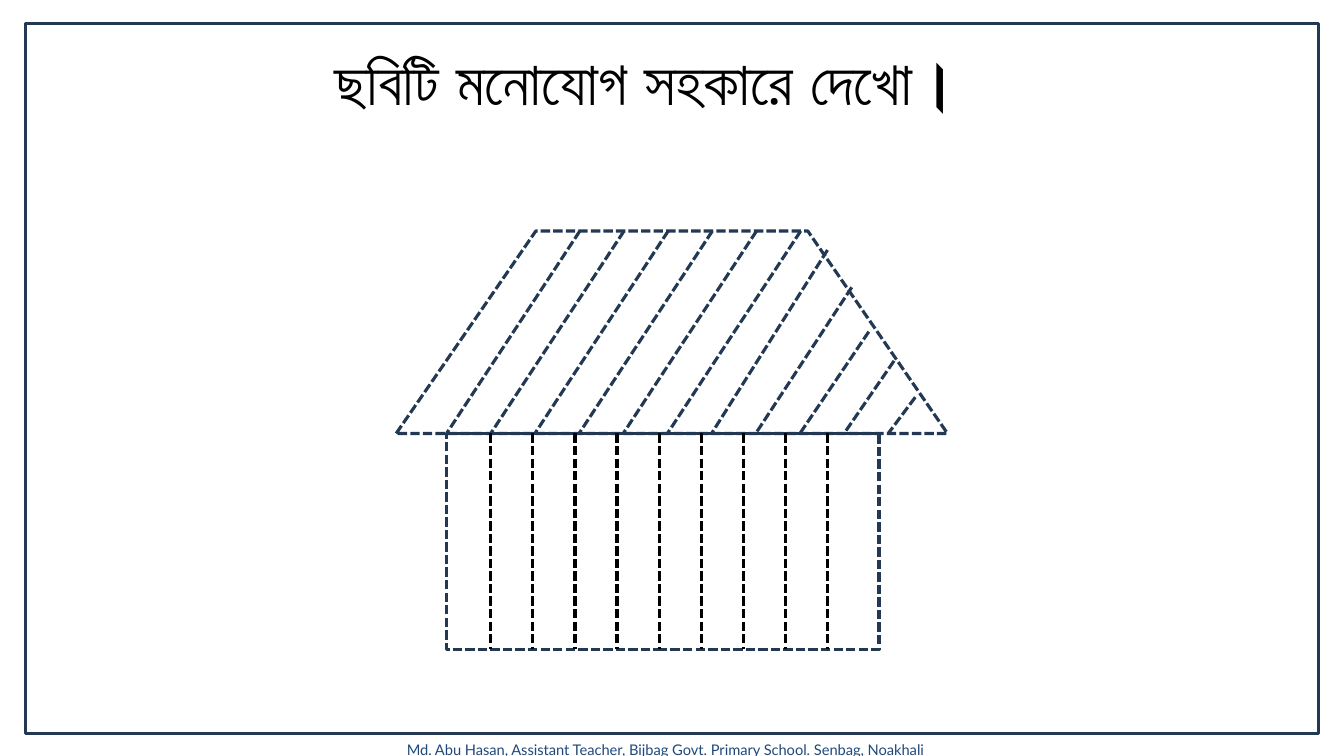
from dataclasses import dataclass

from lxml.etree import SubElement
from pptx import Presentation
from pptx.dml.color import RGBColor
from pptx.enum.dml import MSO_LINE
from pptx.enum.shapes import MSO_CONNECTOR, MSO_SHAPE
from pptx.enum.text import MSO_ANCHOR, MSO_AUTO_SIZE as AutoSize, PP_ALIGN as Align
from pptx.oxml.ns import qn
from pptx.shapes.autoshape import Shape
from pptx.slide import Slide
from pptx.util import Pt

NAVY = RGBColor(0x23, 0x39, 0x53)
BLUE = RGBColor(0x1F, 0x49, 0x7D)
BLACK = RGBColor(0, 0, 0)
FONT = "Lato"

ROOF_TOP, EAVES, GROUND = 165, 309.6, 463.7
WALL_LEFT, WALL_WIDTH = 319, 308.9
SLAT_GAP, SLAT_RUN = 31.55, 95.2
FULL_SLATS = 6
PLANK_LEFT, PLANK_GAP, PLANK_COUNT = 350.6, 30.06, 9
# Upper ends of the slats cut short by the right slope of the roof
SHORT_SLAT_TOPS = [(591.1, 178.6), (608.4, 205.2), (620.6, 236.9),
                   (638.6, 257.8), (653.8, 283.7)]


@dataclass(frozen=True)
class Outline:
    kind: MSO_SHAPE
    left: float
    top: float
    width: float
    height: float
    weight: float = 2.25
    dashed: bool = True


@dataclass(frozen=True)
class Stroke:
    x1: float
    y1: float
    x2: float
    y2: float
    color: RGBColor


FRAME = Outline(MSO_SHAPE.RECTANGLE, 18, 16.6, 923.8, 507.6, 2, False)
ROOF = Outline(MSO_SHAPE.TRAPEZOID, 283, ROOF_TOP, 393.8, EAVES - ROOF_TOP)
WALLS = Outline(MSO_SHAPE.RECTANGLE, WALL_LEFT, EAVES, WALL_WIDTH, GROUND - EAVES)


def draw_outline(page: Slide, outline: Outline) -> Shape:
    shape = page.shapes.add_shape(outline.kind, Pt(outline.left), Pt(outline.top),
                                  Pt(outline.width), Pt(outline.height))
    shape.shadow.inherit = False
    shape.fill.background()
    shape.line.color.rgb = NAVY
    shape.line.width = Pt(outline.weight)
    if outline.dashed:
        shape.line.dash_style = MSO_LINE.SQUARE_DOT
    return shape


def draw_stroke(page: Slide, stroke: Stroke) -> None:
    connector = page.shapes.add_connector(
        MSO_CONNECTOR.STRAIGHT, Pt(stroke.x1), Pt(stroke.y1), Pt(stroke.x2), Pt(stroke.y2))
    connector.line.color.rgb = stroke.color
    connector.line.width = Pt(2.25)
    connector.line.dash_style = MSO_LINE.SQUARE_DOT
    SubElement(connector._element.spPr, qn("a:effectLst"))


def write(box: Shape, text: str, size: float, color: RGBColor, align: Align,
          bold: bool = False) -> None:
    frame = box.text_frame
    frame.word_wrap = True
    frame.auto_size = AutoSize.SHAPE_TO_FIT_TEXT
    frame.vertical_anchor = MSO_ANCHOR.TOP
    para = frame.paragraphs[0]
    para.text = text
    para.alignment = align
    para.font.name = FONT
    para.font.size = Pt(size)
    para.font.bold = bold
    para.font.color.rgb = color


def house_strokes() -> list[Stroke]:
    """Slanted roof slats, then upright wall planks, from left to right."""
    feet = [WALL_LEFT + i * SLAT_GAP for i in range(FULL_SLATS + len(SHORT_SLAT_TOPS))]
    tops = [(foot + SLAT_RUN, ROOF_TOP) for foot in feet[:FULL_SLATS]] + SHORT_SLAT_TOPS
    slats = [Stroke(x, y, foot, EAVES, NAVY) for (x, y), foot in zip(tops, feet)]
    plank_xs = [PLANK_LEFT + i * PLANK_GAP for i in range(PLANK_COUNT)]
    return slats + [Stroke(x, EAVES, x, GROUND, BLACK) for x in plank_xs]


def main() -> None:
    deck = Presentation()
    deck.slide_width, deck.slide_height = Pt(960), Pt(540)
    page = deck.slides.add_slide(deck.slide_layouts.get_by_name("Title Only"))

    title = page.shapes.title
    title.left, title.top, title.width, title.height = Pt(231.8), Pt(28), Pt(496.8), Pt(60.5)
    write(title, "ছবিটি মনোযোগ সহকারে দেখো।", 44, BLACK, Align.LEFT, bold=True)

    credit = page.shapes.add_textbox(Pt(252), Pt(525.6), Pt(447), Pt(20))
    write(credit, "Md. Abu Hasan, Assistant Teacher, Bijbag Govt. Primary School. "
          "Senbag, Noakhali", 10.5, BLUE, Align.CENTER)

    draw_outline(page, FRAME)
    roof = draw_outline(page, ROOF)
    roof.adjustments[0] = 0.69
    draw_outline(page, WALLS)
    for stroke in house_strokes():
        draw_stroke(page, stroke)

    deck.save("out.pptx")


if __name__ == "__main__":
    main()
